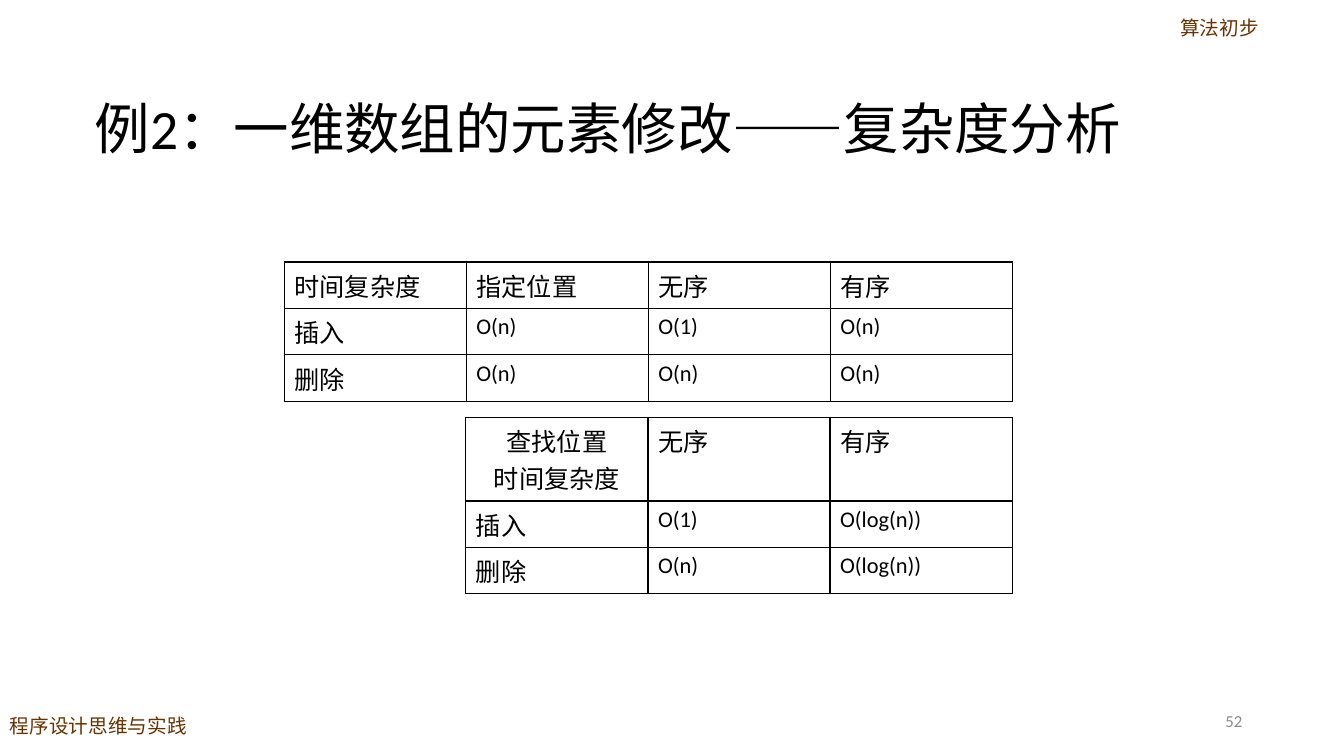
"""Build the slide on the time complexity of changing array elements."""
from lxml import etree
from pptx import Presentation
from pptx import util as u
from pptx.dml.color import RGBColor
from pptx.enum import lang, text
from pptx.oxml import ns

BLACK = RGBColor(0x00, 0x00, 0x00)
BROWN = RGBColor(0x66, 0x33, 0x00)
GRAY = RGBColor(0x8C, 0x8C, 0x8C)
LEFT, MID, RIGHT = text.PP_ALIGN.LEFT, text.PP_ALIGN.CENTER, text.PP_ALIGN.RIGHT
TOP, CENTER = text.MSO_ANCHOR.TOP, text.MSO_ANCHOR.MIDDLE
ROW = 0.46

CHANGE = [
    ["时间复杂度", "指定位置", "无序", "有序"],
    ["插入", "O(n)", "O(1)", "O(n)"],
    ["删除", "O(n)", "O(n)", "O(n)"],
]
SEARCH = [
    ["查找位置\n时间复杂度", "无序", "有序"],
    ["插入", "O(1)", "O(log(n))"],
    ["删除", "O(n)", "O(log(n))"],
]


def write(frame, words, size=18, face="Calibri", color=BLACK, align=LEFT, space=1.0):
    """Fill a text frame with one paragraph for each line of words."""
    for i, line in enumerate(words.split("\n")):
        para = frame.paragraphs[0] if i == 0 else frame.add_paragraph()
        para.alignment, para.line_spacing = align, space
        run = para.add_run()
        run.text = line
        font = run.font
        font.size, font.name, font.color.rgb = u.Pt(size), face, color
        font.language_id = lang.MSO_LANGUAGE_ID.SIMPLIFIED_CHINESE


def label(slide, box, words, anchor=TOP, **style):
    """Place a wrapped text box and write its words."""
    frame = slide.shapes.add_textbox(*map(u.Inches, box)).text_frame
    frame.word_wrap = True
    frame.vertical_anchor = anchor
    write(frame, words, **style)


def border(cell):
    """Draw a thin black line on all four sides of a cell."""
    props = cell._tc.get_or_add_tcPr()
    for i, side in enumerate(("lnL", "lnR", "lnT", "lnB")):
        line = etree.Element(ns.qn(f"a:{side}"), w=str(u.Pt(1)))
        fill = etree.SubElement(line, ns.qn("a:solidFill"))
        etree.SubElement(fill, ns.qn("a:srgbClr"), val=str(BLACK))
        props.insert(i, line)


def grid(slide, left, top, width, data, head=ROW):
    """Place a plain ruled table with equal columns and a header row of given height."""
    rows, cols = len(data), len(data[0])
    box = map(u.Inches, (left, top, width, head + (rows - 1) * ROW))
    table = slide.shapes.add_table(rows, cols, *box).table
    table.first_row = table.horz_banding = False
    for r, line in enumerate(data):
        table.rows[r].height = u.Inches(ROW if r else head)
        for c, words in enumerate(line):
            cell = table.cell(r, c)
            cell.fill.background()
            border(cell)
            write(cell.text_frame, words, size=16 if r and c else 18,
                  align=MID if "\n" in words else LEFT)


def marks(slide):
    """Place the course name, the chapter name and the page number."""
    label(slide, (0, 7.06, 2.89, 0.44), "程序设计思维与实践",
          size=14, face="Arial", color=BROWN, space=0.9)
    label(slide, (10.64, 0.13, 2.91, 0.39), "算法初步", size=14,
          face="Noto Sans CJK SC", color=BROWN, align=MID, space=0.9)
    label(slide, (9.42, 6.95, 3, 0.4), "52", anchor=CENTER,
          size=12, color=GRAY, align=RIGHT)


def main():
    """Build and save the slide."""
    deck = Presentation()
    deck.slide_width, deck.slide_height = u.Inches(13.33), u.Inches(7.5)
    slide = deck.slides.add_slide(deck.slide_layouts[6])
    marks(slide)
    label(slide, (0.84, 0.68, 10.7, 1.25), "例2：一维数组的元素修改——复杂度分析",
          anchor=CENTER, size=39.6, space=0.9)
    grid(slide, 2.82, 2.6, 7.22, CHANGE)
    grid(slide, 4.62, 4.14, 5.42, SEARCH, head=0.83)
    deck.save("out.pptx")


if __name__ == "__main__":
    main()
